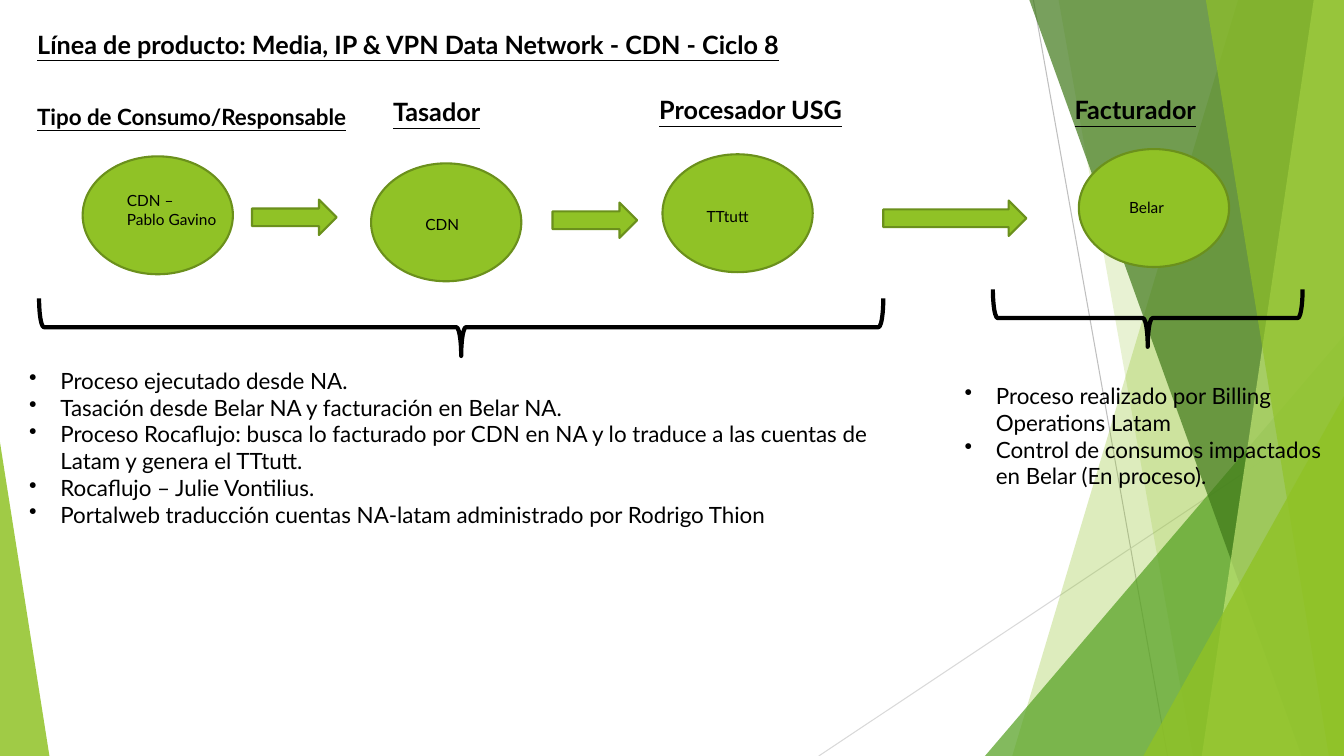
from lxml import etree
from pptx import Presentation
from pptx.dml.color import RGBColor
from pptx.enum.shapes import MSO_CONNECTOR, MSO_SHAPE
from pptx.oxml.ns import qn
from pptx.util import Inches, Pt

OVAL, ARROW = MSO_SHAPE.OVAL, MSO_SHAPE.RIGHT_ARROW
BRACE, TRIANGLE = MSO_SHAPE.LEFT_BRACE, MSO_SHAPE.ISOSCELES_TRIANGLE
STRAIGHT = MSO_CONNECTOR.STRAIGHT
FONT = "Lato"
COLORS = {"green": "90C226", "edge": "6B901C", "leaf": "54A021", "forest": "3F7819",
          "lime": "C0E474", "text": "000000", "gray": "BFBFBF", "pale": "D9D9D9"}
SLIDE = (0, 0, Inches(13.33), Inches(7.5))

# Facets: top x, top y, bottom x, colour, opacity; all reach the right and bottom edges
FACETS = [(92.12, 0, 75.32, "green", 30), (78.77, 0, 88.75, "green", 20),
          (100, 44.4, 73.29, "leaf", 72), (76.59, 0, 96.85, "forest", 70),
          (97.75, 0, 89.42, "lime", 70), (89.72, 0, 98.87, "green", 65),
          (100, 52.4, 85.07, "green", 80)]
RAYS = [(76.89, 0, 86.87, 100, "gray"), (100, 53.73, 60.92, 100, "pale")]

# Stages: heading, its x, y, width and size; oval x, y; label, its x, y
STAGES = [
    ("Tipo de Consumo/Responsable", 2.03, 9.8, 26.48, 16, 6.15, 35.6,
     ["CDN –", "Pablo Gavino"], 8.7, 48.9),
    ("Tasador", 28.51, 7.1, 16.73, 18, 27.61, 38.7, ["CDN"], 30.91, 59.1),
    ("Procesador USG", 48.31, 6.2, 15.38, 18, 49.29, 34.7, ["TTtutt"], 51.84, 56),
    ("Facturador", 79.22, 6.2, 14.63, 18, 80.27, 32.4, ["Belar"], 83.27, 52),
]
ARROWS = [(18.75, 54.7, 6.3), (41.11, 56, 6.3), (65.72, 55.1, 10.65)]

NA_NOTES = [
    "Proceso ejecutado desde NA.",
    "Tasación desde Belar NA y facturación en Belar NA.",
    "Proceso Rocaflujo: busca lo facturado por CDN en NA y lo traduce a las cuentas "
    "de Latam y genera el TTtutt.",
    "Rocaflujo – Julie Vontilius.",
    "Portalweb traducción cuentas NA-latam administrado por Rodrigo Thion",
]
LATAM_NOTES = ["Proceso realizado por Billing Operations Latam",
               "Control de consumos impactados en Belar (En proceso)."]


def rgb(name):
    """Return a palette colour."""
    return RGBColor.from_string(COLORS[name])


def place(box, x, y, w, h):
    """Turn percentages of a box into absolute left, top, width, height."""
    left, top, width, height = box
    return (int(left + width * x / 100), int(top + height * y / 100),
            int(width * w / 100), int(height * h / 100))


def style(sp, fill=None, line=None, weight=1.5, alpha=100):
    """Set fill, opacity and outline; drop the shadow."""
    sp.shadow.inherit = False
    if fill:
        sp.fill.solid()
        sp.fill.fore_color.rgb = rgb(fill)
        if alpha < 100:
            clr = sp.fill._xPr.find(qn("a:solidFill"))[0]
            etree.SubElement(clr, qn("a:alpha")).set("val", str(alpha * 1000))
    else:
        sp.fill.background()
    if line:
        sp.line.color.rgb = rgb(line)
        sp.line.width = Pt(weight)
    else:
        sp.line.fill.background()


def add_text(s, box, lines, size, heading=False, bullets=False):
    """Add a wrapped text box with one paragraph per line."""
    tf = s.shapes.add_textbox(*box).text_frame
    tf.word_wrap = True
    for i, line in enumerate(lines):
        p = tf.paragraphs[0] if i == 0 else tf.add_paragraph()
        p.text = line
        p.font.name, p.font.size = FONT, Pt(size)
        p.font.color.rgb = rgb("text")
        if heading:
            p.font.bold = p.font.underline = True
        if bullets:
            pPr = p._p.get_or_add_pPr()
            pPr.set("marL", str(Inches(0.31)))
            pPr.set("indent", str(-Inches(0.31)))
            bu = etree.Element(qn("a:buChar"), char="•")
            pPr.insert(0, bu)


def add_triangle(s, box, apex, color, alpha):
    """Add a right-angled triangle with its apex at 0 (left) or 1 (right)."""
    sp = s.shapes.add_shape(TRIANGLE, *box)
    sp.adjustments[0] = apex
    style(sp, color, alpha=alpha)


def backdrop(s, box):
    """Draw the thin rays and translucent facets behind the content."""
    for x1, y1, x2, y2, color in RAYS:
        ln = s.shapes.add_connector(STRAIGHT, *place(box, x1, y1, 0, 0)[:2],
                                    *place(box, x2, y2, 0, 0)[:2])
        ln.line.color.rgb, ln.line.width = rgb(color), Pt(0.75)
        etree.SubElement(ln._element.spPr, qn("a:effectLst"))
    for top_x, top_y, bottom_x, color, alpha in FACETS:
        if top_x == 100:
            area = place(box, bottom_x, top_y, 100 - bottom_x, 100 - top_y)
            add_triangle(s, area, 1, color, alpha)
            continue
        corners = [(top_x, top_y), (100, top_y), (100, 100), (bottom_x, 100)]
        pts = [place(box, x, y, 0, 0)[:2] for x, y in corners]
        fb = s.shapes.build_freeform(*pts[0])
        fb.add_line_segments(pts[1:], close=True)
        style(fb.convert_to_shape(), color, alpha=alpha)
    add_triangle(s, place(box, 0, 58.5, 3.68, 41.5), 0, "green", 85)


def flow(s, box):
    """Draw the headed stages and the arrows between them."""
    for x, y, w in ARROWS:
        style(s.shapes.add_shape(ARROW, *place(box, x, y, w, 15.6)), "green", "edge")
    for head, hx, hy, hw, size, ox, oy, label, lx, ly in STAGES:
        add_text(s, place(box, hx, hy, hw, 17.8), [head], size, heading=True)
        style(s.shapes.add_shape(OVAL, *place(box, ox, oy, 11.18, 52)), "green", "edge")
        add_text(s, place(box, lx, ly, 8.25, 12.9 * len(label)), label, 11)


def notes_block(s, box, notes, brace, text_top):
    """Draw a brace pointing down at a bulleted list."""
    x, y, w, h = place(box, *brace)
    # The brace is turned a quarter, so its unrotated sides are swapped about its centre
    sp = s.shapes.add_shape(BRACE, x + (w - h) // 2, y + (h - w) // 2, h, w)
    sp.rotation = 270
    style(sp, line="text", weight=3)
    add_text(s, place(box, 0, text_top, 100, 100 - text_top), notes, 16, bullets=True)


def build():
    """Build the slide and save it."""
    prs = Presentation()
    prs.slide_width, prs.slide_height = SLIDE[2:]
    s = prs.slides.add_slide(prs.slide_layouts[6])
    backdrop(s, SLIDE)
    add_text(s, place(SLIDE, 2.03, 3.2, 58.44, 5.3),
             ["Línea de producto: Media, IP & VPN Data Network - CDN - Ciclo 8"],
             18, heading=True)
    flow(s, place(SLIDE, 0, 10, 100, 30))
    notes_block(s, place(SLIDE, 1.43, 39.47, 64.29, 31.33), NA_NOTES,
                (2.3, 0, 97.7, 24.3), 26.8)
    notes_block(s, place(SLIDE, 71.04, 38.27, 28.66, 27.33), LATAM_NOTES,
                (9.9, 0, 80.4, 27.8), 42.4)
    prs.save("out.pptx")


build()
